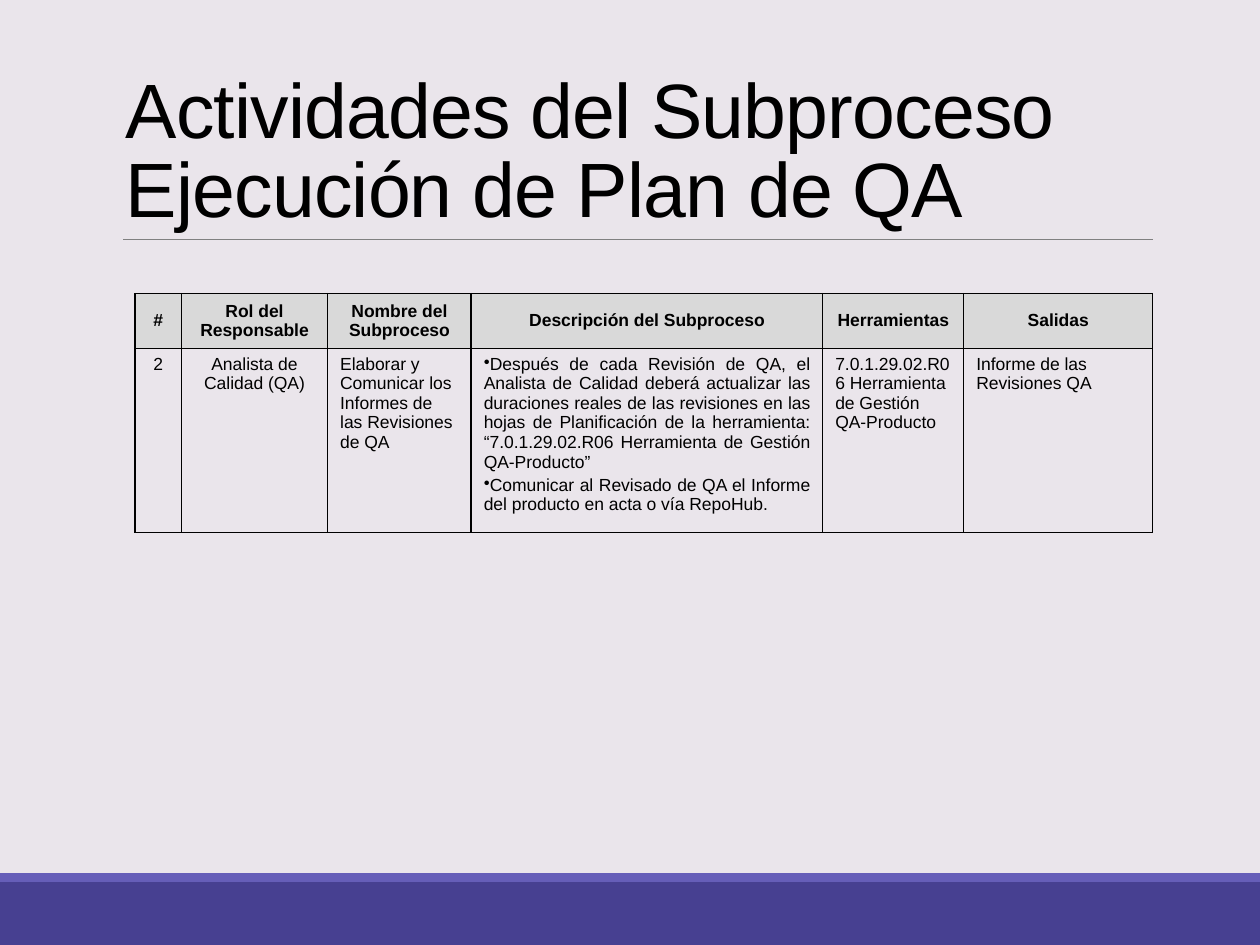
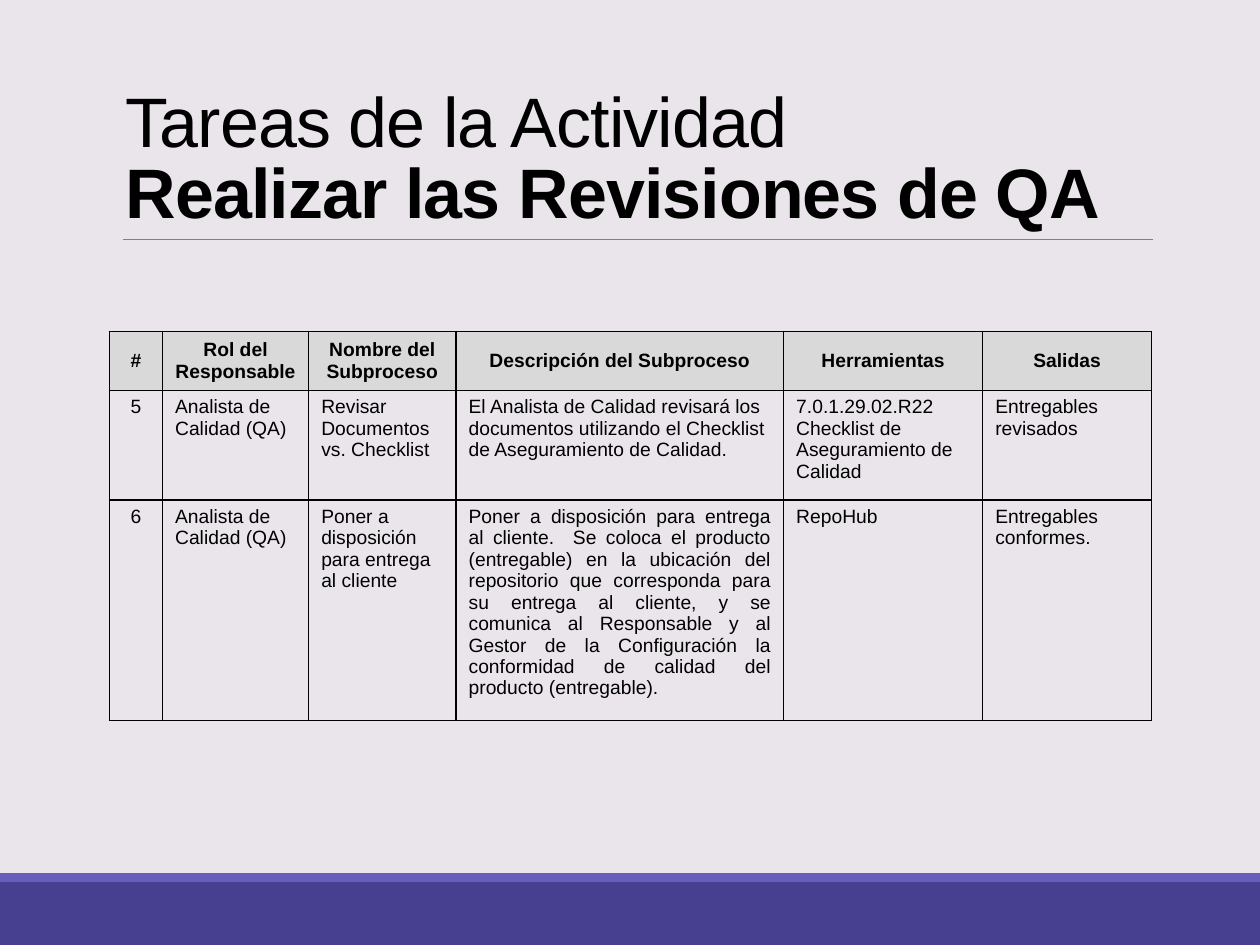
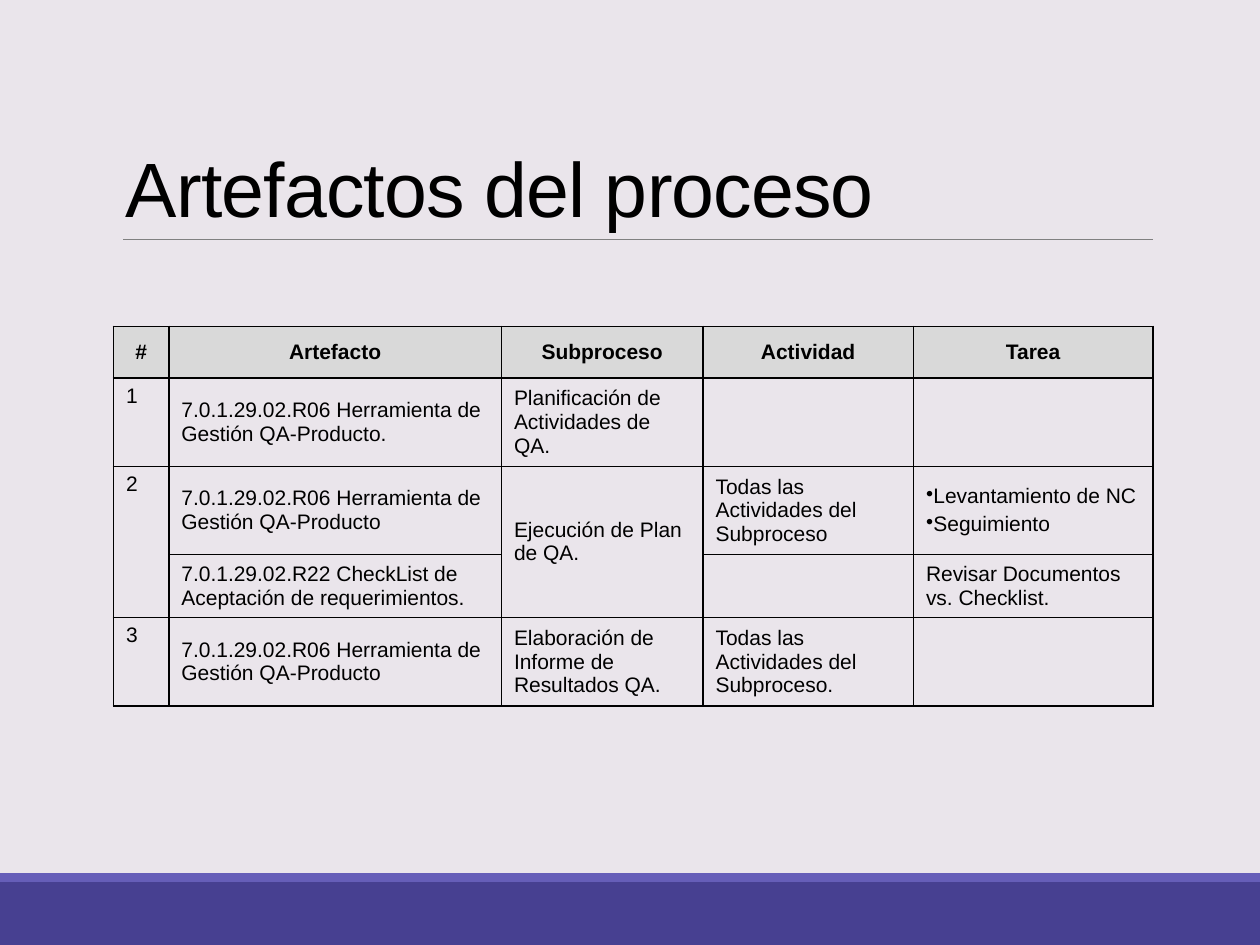
from lxml import etree
from pptx import Presentation
from pptx.dml.color import RGBColor
from pptx.enum.shapes import MSO_CONNECTOR, MSO_SHAPE
from pptx.enum.text import MSO_ANCHOR, PP_ALIGN
from pptx.oxml.ns import qn
from pptx.util import Inches, Pt

BACKGROUND = RGBColor(0xEA, 0xE5, 0xEB)
BAND = RGBColor(0x47, 0x40, 0x91)
BAND_EDGE = RGBColor(0x66, 0x5E, 0xB8)
RULE = RGBColor(0x80, 0x80, 0x80)
HEADER_FILL = RGBColor(0xD9, 0xD9, 0xD9)
BLACK = RGBColor(0, 0, 0)
RECTANGLE = MSO_SHAPE.RECTANGLE
STRAIGHT = MSO_CONNECTOR.STRAIGHT
TOP, MIDDLE, BOTTOM = MSO_ANCHOR.TOP, MSO_ANCHOR.MIDDLE, MSO_ANCHOR.BOTTOM
ALIGNMENTS = {"l": PP_ALIGN.LEFT, "c": PP_ALIGN.CENTER, "j": PP_ALIGN.JUSTIFY}
FONT = "Arial"
BULLET = "•"
BORDER_SIDES = ("a:lnL", "a:lnR", "a:lnT", "a:lnB")

PROCESS_HEADER = [
    "#", "Rol del Responsable", "Nombre del Subproceso",
    "Descripción del Subproceso", "Herramientas", "Salidas",
]

SLIDES = [
    {
        "title": "Actividades del Subproceso\vEjecución de Plan de QA",
        "title_size": 44, "bold_lines": [False, False],
        "position": (1.07, 2.33), "size": 10, "anchor": TOP, "merges": [],
        "columns": [0.37, 1.16, 1.14, 2.79, 1.12, 1.5],
        "heights": [0.41, 1.37],
        "alignments": ["cccccc", "ccljll"],
        "rows": [
            PROCESS_HEADER,
            [
                "2", "Analista de Calidad (QA)",
                "Elaborar y Comunicar los Informes de las Revisiones de QA",
                "•Después de cada Revisión de QA, el Analista de Calidad deberá "
                "actualizar las duraciones reales de las revisiones en las hojas de "
                "Planificación de la herramienta: “7.0.1.29.02.R06 Herramienta de "
                "Gestión QA-Producto”\n"
                "•Comunicar al Revisado de QA el Informe del producto en acta o vía RepoHub.",
                "7.0.1.29.02.R06 Herramienta de Gestión QA-Producto",
                "Informe de las Revisiones QA",
            ],
        ],
    },
    {
        "title": "Tareas de la Actividad\vRealizar las Revisiones de QA",
        "title_size": 40, "bold_lines": [False, True],
        "position": (0.87, 2.63), "size": 11, "anchor": TOP, "merges": [],
        "columns": [0.42, 1.16, 1.17, 2.6, 1.58, 1.34],
        "heights": [0.44, 0.87, 1.63],
        "alignments": ["cccccc", "clllll", "clljll"],
        "rows": [
            PROCESS_HEADER,
            [
                "5", "Analista de Calidad (QA)", "Revisar Documentos vs. Checklist",
                "El Analista de Calidad revisará los documentos utilizando el "
                "Checklist de Aseguramiento de Calidad.",
                "7.0.1.29.02.R22 Checklist de Aseguramiento de Calidad",
                "Entregables revisados",
            ],
            [
                "6", "Analista de Calidad (QA)",
                "Poner a disposición para entrega al cliente",
                "Poner a disposición para entrega al cliente.  Se coloca el producto "
                "(entregable) en la ubicación del repositorio que corresponda para su "
                "entrega al cliente, y se comunica al Responsable y al Gestor de la "
                "Configuración la conformidad de calidad del producto (entregable).",
                "RepoHub", "Entregables conformes.",
            ],
        ],
    },
    {
        "title": "Artefactos del proceso",
        "title_size": 44, "bold_lines": [False],
        "position": (0.9, 2.59), "size": 12, "anchor": MIDDLE,
        "merges": [(2, 0, 3, 0), (2, 2, 3, 2)],
        "columns": [0.44, 2.64, 1.6, 1.67, 1.9],
        "heights": [0.41, 0.66, 0.66, 0.47, 0.66],
        "alignments": ["ccccc"] + ["lllll"] * 4,
        "rows": [
            ["#", "Artefacto", "Subproceso", "Actividad", "Tarea"],
            ["1", "7.0.1.29.02.R06 Herramienta de Gestión QA-Producto.",
             "Planificación de Actividades de QA.", "", ""],
            ["2", "7.0.1.29.02.R06 Herramienta de Gestión QA-Producto",
             "Ejecución de Plan de QA.", "Todas las Actividades del Subproceso",
             "•Levantamiento de NC\n•Seguimiento"],
            ["", "7.0.1.29.02.R22 CheckList de Aceptación de requerimientos.",
             "", "", "Revisar Documentos vs. Checklist."],
            ["3", "7.0.1.29.02.R06 Herramienta de Gestión QA-Producto",
             "Elaboración de Informe de Resultados QA.",
             "Todas las Actividades del Subproceso.", ""],
        ],
    },
]


def format_run(run, size, bold):
    run.font.name = FONT
    run.font.size = Pt(size)
    run.font.bold = bold
    run.font.color.rgb = BLACK


def add_borders(cell):
    properties = cell._tc.get_or_add_tcPr()
    for side in BORDER_SIDES:
        line = etree.SubElement(properties, qn(side), w=str(Pt(1)))
        fill = etree.SubElement(line, qn("a:solidFill"))
        etree.SubElement(fill, qn("a:srgbClr"), val=str(BLACK))


presentation = Presentation()
presentation.slide_width = Inches(10)
presentation.slide_height = Inches(7.5)
background = presentation.slide_master.background.fill
background.solid()
background.fore_color.rgb = BACKGROUND

for content in SLIDES:
    slide = presentation.slides.add_slide(presentation.slide_layouts[6])

    for top, height, color in [(7, 0.5, BAND), (6.93, 0.07, BAND_EDGE)]:
        band = slide.shapes.add_shape(
            RECTANGLE, 0, Inches(top), presentation.slide_width, Inches(height))
        band.shadow.inherit = False
        band.fill.solid()
        band.fill.fore_color.rgb = color
        band.line.fill.background()

    rule = slide.shapes.add_connector(
        STRAIGHT, Inches(0.98), Inches(1.9), Inches(9.15), Inches(1.9))
    rule.line.color.rgb = RULE
    rule.line.width = Pt(0.5)
    etree.SubElement(rule._element.spPr, qn("a:effectLst"))

    title = slide.shapes.add_textbox(
        Inches(0.9), Inches(0.31), Inches(8.25), Inches(1.59)).text_frame
    title.word_wrap = True
    title.vertical_anchor = BOTTOM
    title.text = content["title"]
    title.paragraphs[0].line_spacing = 0.85
    for run, bold in zip(title.paragraphs[0].runs, content["bold_lines"]):
        format_run(run, content["title_size"], bold)
        run._r.get_or_add_rPr().set("spc", "-50")

    left, top = content["position"]
    columns, heights = content["columns"], content["heights"]
    table = slide.shapes.add_table(
        len(heights), len(columns), Inches(left), Inches(top),
        Inches(sum(columns)), Inches(sum(heights))).table
    table.first_row = False
    table.horz_banding = False
    for column, width in zip(table.columns, columns):
        column.width = Inches(width)
    for row, height in zip(table.rows, heights):
        row.height = Inches(height)

    for row_index, texts in enumerate(content["rows"]):
        is_header = row_index == 0
        for column_index, text in enumerate(texts):
            cell = table.cell(row_index, column_index)
            add_borders(cell)
            if is_header:
                cell.fill.solid()
                cell.fill.fore_color.rgb = HEADER_FILL
            else:
                cell.fill.background()
            cell.vertical_anchor = (
                MIDDLE if is_header else TOP if column_index == 0 else content["anchor"])
            cell.text_frame.text = text.replace(BULLET, "")
            alignment = ALIGNMENTS[content["alignments"][row_index][column_index]]
            for index, paragraph in enumerate(cell.text_frame.paragraphs):
                paragraph.alignment = alignment
                if index > 0:
                    paragraph.space_before = Pt(content["size"] * 0.2)
                if text.startswith(BULLET):
                    properties = paragraph._p.get_or_add_pPr()
                    properties.set("marL", "0")
                    properties.set("indent", "0")
                    etree.SubElement(properties, qn("a:buChar"), char=BULLET)
                for run in paragraph.runs:
                    format_run(run, content["size"], is_header)

    for first_row, first_column, last_row, last_column in content["merges"]:
        table.cell(first_row, first_column).merge(table.cell(last_row, last_column))

presentation.save("out.pptx")
